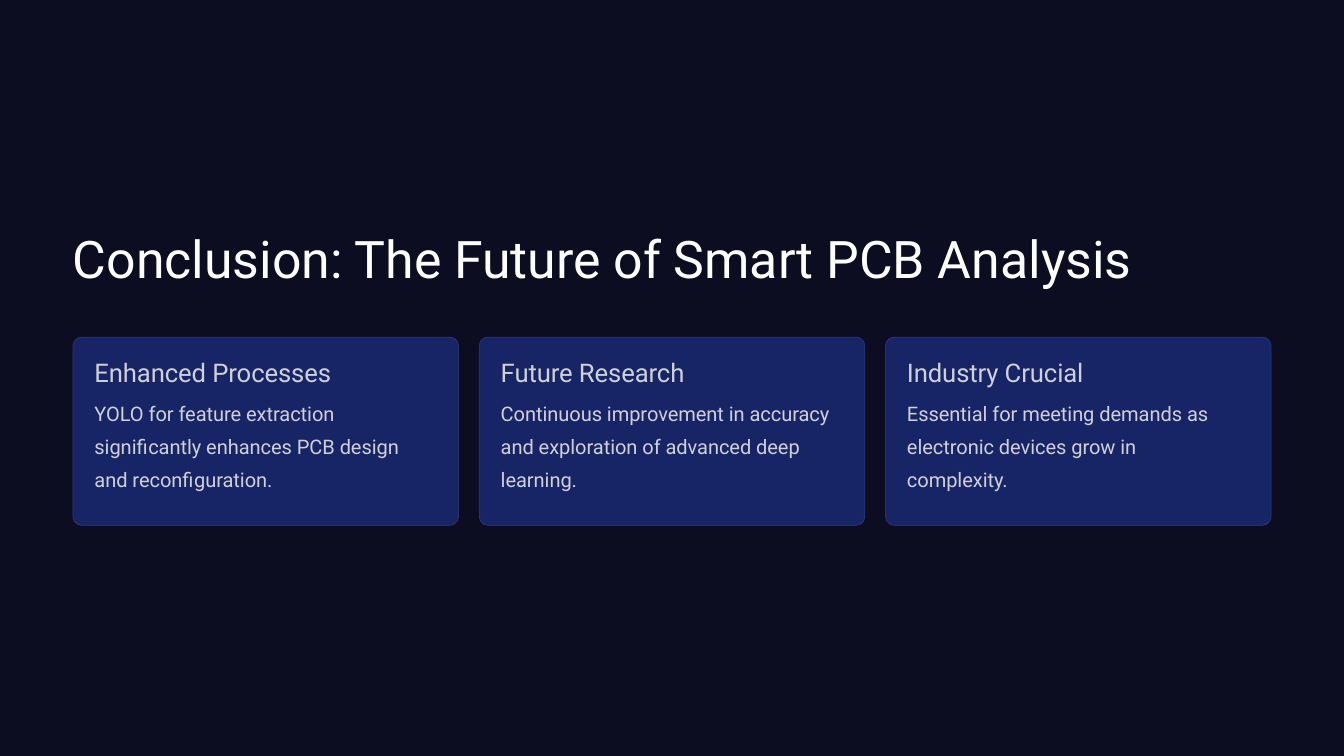
from pptx import Presentation
from pptx.dml.color import RGBColor
from pptx.enum.shapes import MSO_SHAPE
from pptx.enum.text import MSO_ANCHOR, PP_ALIGN
from pptx.util import Pt

FONT = "Roboto"
BACKGROUND, CARD_FILL, CARD_LINE = "0D0D22", "172566", "313D80"
TITLE_COLOR, TEXT_COLOR = "FFFFFF", "CFD0D8"

CARD_LEFT, CARD_TOP, CARD_WIDTH, CARD_HEIGHT = 78.1, 361.1, 413.3, 201.8
CARD_PITCH = 435.3
CORNER_RADIUS = 9.5

# heading, body, width of the text column
CARDS = [
    ("Enhanced Processes",
     "YOLO for feature extraction significantly enhances PCB design and reconfiguration.", 336),
    ("Future Research",
     "Continuous improvement in accuracy and exploration of advanced deep learning.", 364),
    ("Industry Crucial",
     "Essential for meeting demands as electronic devices grow in complexity.", 333),
]


def color(value):
    return RGBColor.from_string(value)


def write(paragraph, text, size, fill, line_spacing=1.0, space_before=0, spacing=0):
    """Fill a paragraph with one run; spacing is in hundredths of a point."""
    paragraph.alignment = PP_ALIGN.LEFT
    paragraph.line_spacing = line_spacing
    paragraph.space_before = Pt(space_before)
    run = paragraph.add_run()
    run.text = text
    run.font.name = FONT
    run.font.size = Pt(size)
    run.font.color.rgb = color(fill)
    if spacing:
        run.font._element.set("spc", str(spacing))


def prepare_frame(shape, inset_top):
    frame = shape.text_frame
    frame.word_wrap = True
    frame.vertical_anchor = MSO_ANCHOR.TOP
    frame.margin_left, frame.margin_top = Pt(0.9), Pt(inset_top)
    frame.margin_right = frame.margin_bottom = 0
    return frame


def add_title(slide, left, top, width, height):
    title = slide.shapes.title
    title.left, title.top, title.width, title.height = map(Pt, (left, top, width, height))
    frame = prepare_frame(title, 1.1)
    write(frame.paragraphs[0], "Conclusion: The Future of Smart PCB Analysis",
          size=55.5, fill=TITLE_COLOR, spacing=-5)


def add_card(slide, left, top, width, height, heading, body, text_width):
    card = slide.shapes.add_shape(MSO_SHAPE.ROUNDED_RECTANGLE,
                                  Pt(left), Pt(top), Pt(width), Pt(height))
    card.shadow.inherit = False
    card.adjustments[0] = CORNER_RADIUS / height
    card.fill.solid()
    card.fill.fore_color.rgb = color(CARD_FILL)
    card.line.color.rgb = color(CARD_LINE)
    card.line.width = Pt(0.6)

    text_box = slide.shapes.add_textbox(Pt(left + 22.2), Pt(top + 1.8),
                                        Pt(text_width), Pt(165))
    frame = prepare_frame(text_box, 19.4)
    write(frame.paragraphs[0], heading, size=27.5, fill=TEXT_COLOR, spacing=-10)
    write(frame.add_paragraph(), body, size=21.5, fill=TEXT_COLOR,
          line_spacing=1.37, space_before=5.6, spacing=-5)


def main():
    presentation = Presentation()
    presentation.slide_width, presentation.slide_height = Pt(1440), Pt(810)
    slide = presentation.slides.add_slide(presentation.slide_layouts[5])
    slide.background.fill.solid()
    slide.background.fill.fore_color.rgb = color(BACKGROUND)

    add_title(slide, 77.2, 241.9, 1140.5, 68.4)
    for index, (heading, body, text_width) in enumerate(CARDS):
        add_card(slide, CARD_LEFT + index * CARD_PITCH, CARD_TOP, CARD_WIDTH, CARD_HEIGHT,
                 heading, body, text_width)
    presentation.save("out.pptx")


if __name__ == "__main__":
    main()
